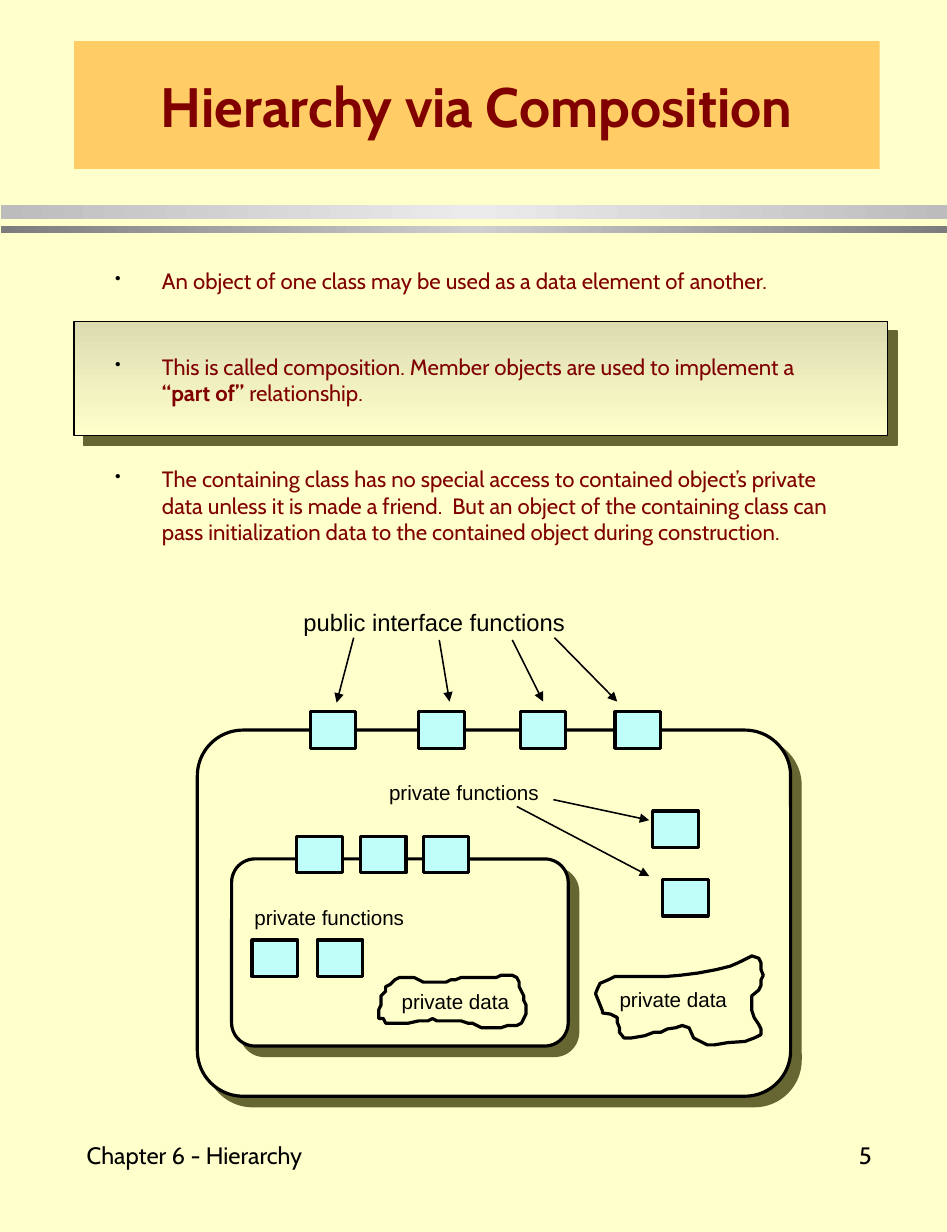
import pptx
import pptx.util
import pptx.dml.color
import pptx.enum.shapes
import pptx.enum.text
import pptx.oxml.ns
from lxml import etree

Inches, Pt = pptx.util.Inches, pptx.util.Pt
RGBColor = pptx.dml.color.RGBColor
SHAPE = pptx.enum.shapes.MSO_SHAPE
ALIGN = pptx.enum.text.PP_ALIGN
ANCHOR = pptx.enum.text.MSO_ANCHOR
qn = pptx.oxml.ns.qn

CREAM = RGBColor(0xFF, 0xFF, 0xCC)
ORANGE = RGBColor(0xFF, 0xCC, 0x66)
MAROON = RGBColor(0x80, 0x00, 0x00)
AQUA = RGBColor(0xC0, 0xFE, 0xF9)
BLACK = RGBColor(0x00, 0x00, 0x00)
OLIVE = RGBColor(0x66, 0x66, 0x33)
SAND = RGBColor(0xDC, 0xDC, 0xB0)
SILVER, PALE_SILVER = RGBColor(0xBC, 0xBC, 0xBC), RGBColor(0xEB, 0xEB, 0xEB)
STEEL, PALE_STEEL = RGBColor(0x7C, 0x7C, 0x7C), RGBColor(0xCE, 0xCE, 0xCE)

# Content: each bullet is a list of (text, bold)
TITLE = "Hierarchy via Composition"
BULLETS = [
    [("An object of one class may be used as a data element of another.", False)],
    [("This is called composition. Member objects are used to implement a ", False),
     ("“part of” ", True), ("relationship.", False)],
    [("The containing class has no special access to contained object’s private data "
      "unless it is made a friend.  But an object of the containing class can pass "
      "initialization data to the contained object during construction.", False)],
]
FOOTERS = [("Chapter 6 - Hierarchy", (0.65, 9.72, 2.58, 0.81), ALIGN.LEFT),
           ("5", (6.09, 9.72, 1.66, 0.81), ALIGN.RIGHT)]

# Divider bands: top, height, edge colour, middle colour
BANDS = [(1.8, 0.12, SILVER, PALE_SILVER), (1.98, 0.06, STEEL, PALE_STEEL)]

# Diagram: containing object and contained object
OBJECTS = [(1.73, 6.4, 5.2, 3.21), (2.03, 7.53, 2.95, 1.64)]
# Function boxes: top, left edges
BOX_SIZE = (0.4, 0.32)
FUNCTION_ROWS = [(6.24, [2.72, 3.67, 4.56, 5.39]), (7.33, [2.6, 3.16, 3.71]),
                 (8.24, [2.21, 2.78]), (7.11, [5.72]), (7.71, [5.81])]
# Labels: text, place, size
LABELS = [
    ("public interface functions", (2.55, 5.28, 2.7, 0.36), 15),
    ("private functions", (3.3, 6.79, 1.7, 0.33), 13),
    ("private functions", (2.12, 7.88, 1.7, 0.33), 13),
    ("private data", (5.32, 8.6, 1.48, 0.33), 13),
    ("private data", (3.41, 8.62, 1.48, 0.33), 13),
]
ARROWS = [(3.1, 5.59, 2.95, 6.16), (3.85, 5.61, 3.94, 6.15),
          (4.49, 5.61, 4.76, 6.15), (4.86, 5.59, 5.41, 6.15),
          (4.85, 7.01, 5.69, 7.19), (4.53, 7.07, 5.69, 7.68)]
# Private data outlines, in hundredths of an inch
OUTER_DATA = [
    (528, 886), (526, 881), (524, 876), (522, 871), (524, 866), (526, 862), (533, 859),
    (539, 856), (555, 856), (571, 856), (584, 856), (596, 855), (612, 853), (628, 850),
    (640, 847), (647, 844), (653, 841), (659, 838), (665, 840), (667, 844), (667, 850),
    (669, 855), (667, 859), (667, 864), (665, 868), (659, 873), (659, 881), (659, 886),
    (661, 892), (665, 898), (667, 902), (667, 907), (661, 910), (653, 913), (638, 914),
    (626, 916), (620, 916), (614, 913), (608, 910), (604, 901), (598, 899), (592, 901),
    (585, 902), (579, 905), (573, 905), (565, 908), (553, 910), (547, 910), (543, 905),
    (543, 901), (541, 896), (541, 892), (535, 889), (528, 888)]
INNER_DATA = [
    (334, 877), (334, 873), (338, 869), (338, 865), (342, 863), (346, 859), (350, 857),
    (363, 857), (367, 859), (371, 861), (391, 861), (395, 859), (399, 859), (404, 857),
    (435, 857), (439, 855), (449, 855), (453, 857), (455, 861), (455, 865), (457, 869),
    (459, 873), (459, 877), (461, 881), (461, 889), (459, 893), (457, 897), (453, 899),
    (445, 899), (439, 901), (422, 901), (418, 899), (414, 897), (410, 897), (404, 895),
    (383, 895), (379, 893), (375, 895), (367, 895), (358, 897), (338, 897), (336, 893),
    (332, 893), (332, 885), (334, 881)]

deck = pptx.Presentation()
deck.slide_width, deck.slide_height = Inches(8.3), Inches(10.8)
slide = deck.slides.add_slide(deck.slide_layouts[6])
slide.background.fill.solid()
slide.background.fill.fore_color.rgb = CREAM


def paint(shape, fill=None, line=None):
    shape.shadow.inherit = False
    if fill is None:
        shape.fill.background()
    else:
        shape.fill.solid()
        shape.fill.fore_color.rgb = fill
    if line is None:
        shape.line.fill.background()
    else:
        shape.line.color.rgb = BLACK
        shape.line.width = Pt(line)
    return shape


def add_block(kind, place, fill, line=None):
    return paint(slide.shapes.add_shape(kind, *map(Inches, place)), fill, line)


def shade(shape, colors, angle):
    shape.fill.gradient()
    shape.fill.gradient_angle = angle
    stops = shape._element.spPr.find(".//" + qn("a:gsLst"))
    for stop in list(stops):
        stops.remove(stop)
    for i, color in enumerate(colors):
        stop = etree.SubElement(stops, qn("a:gs"), pos=str(i * 100000 // (len(colors) - 1)))
        etree.SubElement(stop, qn("a:srgbClr"), val=str(color))


def drop_shadow(shape):
    effects = shape._element.spPr.find(qn("a:effectLst"))
    cast = etree.SubElement(effects, qn("a:outerShdw"), blurRad="0", dist=str(Pt(8.5)),
                            dir="2700000", algn="ctr", rotWithShape="0")
    etree.SubElement(cast, qn("a:srgbClr"), val=str(OLIVE))


def set_frame(frame, anchor=ANCHOR.TOP):
    frame.margin_left = frame.margin_right = Inches(0.11)
    frame.margin_top = frame.margin_bottom = Inches(0.05)
    frame.vertical_anchor = anchor
    frame.word_wrap = True
    return frame


def style(run, font, size, color, bold=False):
    run.font.name, run.font.size, run.font.bold = font, Pt(size), bold
    run.font.color.rgb = color


def add_text(text, place, font, size, anchor=ANCHOR.TOP, align=ALIGN.LEFT):
    frame = set_frame(slide.shapes.add_textbox(*map(Inches, place)).text_frame, anchor)
    frame.text = text
    frame.paragraphs[0].alignment = align
    style(frame.paragraphs[0].runs[0], font, size, BLACK)


# Title and divider
title = set_frame(add_block(SHAPE.RECTANGLE, (0.65, 0.36, 7.06, 1.12), ORANGE).text_frame,
                  ANCHOR.MIDDLE)
title.text = TITLE
title.paragraphs[0].alignment = ALIGN.CENTER
style(title.paragraphs[0].runs[0], "Cabin", 35, MAROON, True)
for top, height, edge, middle in BANDS:
    shade(add_block(SHAPE.RECTANGLE, (0.01, top, 8.29, height), edge), [edge, middle, edge], 0)

# Highlight panel and bullets
panel = add_block(SHAPE.RECTANGLE, (0.65, 2.82, 7.13, 1), CREAM, 1)
shade(panel, [SAND, CREAM], 270)
drop_shadow(panel)
body = set_frame(slide.shapes.add_textbox(*map(Inches, (0.9, 2.29, 6.64, 3.77))).text_frame)
for i, pieces in enumerate(BULLETS):
    bullet = body.add_paragraph() if i else body.paragraphs[0]
    bullet.space_before = Pt(37.5 if i else 3.5)
    for text, bold in pieces:
        run = bullet.add_run()
        run.text = text
        style(run, "Cabin", 14, MAROON, bold)
    props = bullet._p.get_or_add_pPr()
    props.set("marL", str(Inches(0.41)))
    props.set("indent", str(Inches(-0.41)))
    mark_color = etree.SubElement(props, qn("a:buClr"))
    etree.SubElement(mark_color, qn("a:srgbClr"), val=str(BLACK))
    etree.SubElement(props, qn("a:buSzPct"), val="75000")
    etree.SubElement(props, qn("a:buChar"), char="•")

# Objects, function boxes and private data
for place in OBJECTS:
    outline = add_block(SHAPE.ROUNDED_RECTANGLE, place, CREAM, 2)
    outline.adjustments[0] = 0.125
    drop_shadow(outline)
for top, lefts in FUNCTION_ROWS:
    for left in lefts:
        add_block(SHAPE.RECTANGLE, (left, top, *BOX_SIZE), AQUA, 2)
for points, fill in [(OUTER_DATA, CREAM), (INNER_DATA, None)]:
    builder = slide.shapes.build_freeform(*points[0], scale=Inches(0.01))
    builder.add_line_segments(points[1:], close=True)
    paint(builder.convert_to_shape(), fill, 2)

# Labels and arrows
for text, place, size in LABELS:
    add_text(text, place, "Arial", size)
for ends in ARROWS:
    arrow = slide.shapes.add_connector(pptx.enum.shapes.MSO_CONNECTOR.STRAIGHT,
                                       *map(Inches, ends))
    arrow.line.color.rgb = BLACK
    arrow.line.width = Pt(1)
    arrow_props = arrow._element.spPr
    etree.SubElement(arrow_props.find(qn("a:ln")), qn("a:tailEnd"), type="triangle")
    etree.SubElement(arrow_props, qn("a:effectLst"))

# Footer
for text, place, align in FOOTERS:
    add_text(text, place, "Cabin", 15, ANCHOR.MIDDLE, align)

deck.save("out.pptx")
